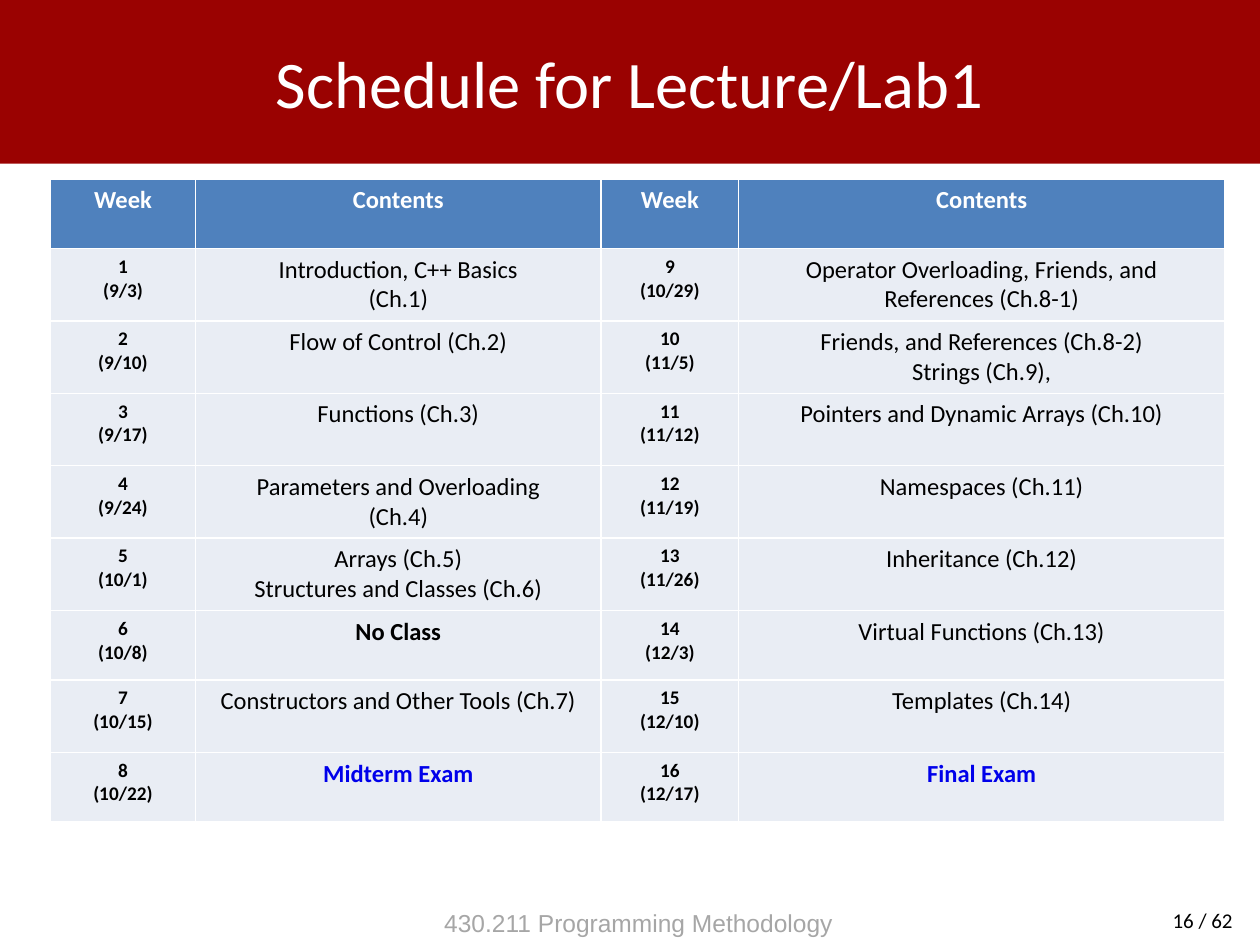
import pptx
import pptx.util
import pptx.dml.color
import pptx.enum.shapes
import pptx.enum.text

Cm = pptx.util.Cm
ALIGN = pptx.enum.text.PP_ALIGN
ANCHOR = pptx.enum.text.MSO_ANCHOR

HEADER = ["Week", "Contents"] * 2
COLUMN_WIDTHS = [2.92, 8.18, 2.77, 9.8]
HEADER_HEIGHT, ROW_HEIGHT = 1.4, 1.46
SHORT_WEEKS = (6, 8)
BLACK, WHITE, EXAM_BLUE = "000000", "FFFFFF", "0000EA"

# Date and contents of weeks 1 to 16
WEEKS = [
    ("9/3", "Introduction, C++ Basics\n(Ch.1)"),
    ("9/10", "Flow of Control (Ch.2)"),
    ("9/17", "Functions (Ch.3)"),
    ("9/24", "Parameters and Overloading\n(Ch.4)"),
    ("10/1", "Arrays (Ch.5)\nStructures and Classes (Ch.6)"),
    ("10/8", "No Class"),
    ("10/15", "Constructors and Other Tools (Ch.7)"),
    ("10/22", "Midterm Exam"),
    ("10/29", "Operator Overloading, Friends, and References (Ch.8-1)"),
    ("11/5", "Friends, and References (Ch.8-2)\nStrings (Ch.9),"),
    ("11/12", "Pointers and Dynamic Arrays (Ch.10)"),
    ("11/19", "Namespaces (Ch.11)"),
    ("11/26", "Inheritance (Ch.12)"),
    ("12/3", "Virtual Functions (Ch.13)"),
    ("12/10", "Templates (Ch.14)"),
    ("12/17", "Final Exam"),
]


def rgb(value):
    return pptx.dml.color.RGBColor.from_string(value)


def write(frame, text, size, color, bold=False, align=ALIGN.CENTER, font="Calibri"):
    frame.text = text
    for paragraph in frame.paragraphs:
        paragraph.alignment = align
        paragraph.font.name = font
        paragraph.font.size = pptx.util.Pt(size)
        paragraph.font.bold = bold
        paragraph.font.color.rgb = rgb(color)


def add_title(slide, text):
    banner = slide.shapes.add_shape(
        pptx.enum.shapes.MSO_SHAPE.RECTANGLE, 0, 0, Cm(25.4), Cm(3.3))
    banner.shadow.inherit = False
    banner.fill.solid()
    banner.fill.fore_color.rgb = rgb("9A0201")
    banner.line.fill.background()
    banner.text_frame.vertical_anchor = ANCHOR.MIDDLE
    write(banner.text_frame, text, 38, WHITE)


def add_label(slide, text, left, top, width, height, anchor=ANCHOR.TOP, **style):
    frame = slide.shapes.add_textbox(Cm(left), Cm(top), Cm(width), Cm(height)).text_frame
    frame.word_wrap = True
    frame.vertical_anchor = anchor
    write(frame, text, **style)


def fill_cell(cell, text, size, color, bold, fill="E9EDF4"):
    cell.fill.solid()
    cell.fill.fore_color.rgb = rgb(fill)
    write(cell.text_frame, text, size, color, bold)


def add_schedule(slide):
    """Two halves of the term side by side, each with a week and a contents column."""
    half = len(WEEKS) // 2
    heights = [HEADER_HEIGHT] + [
        HEADER_HEIGHT if week in SHORT_WEEKS else ROW_HEIGHT
        for week in range(1, half + 1)]
    schedule = slide.shapes.add_table(
        len(heights), len(HEADER), Cm(1.02), Cm(3.61),
        Cm(sum(COLUMN_WIDTHS)), Cm(sum(heights))).table
    schedule.horz_banding = False
    for column, width in zip(schedule.columns, COLUMN_WIDTHS):
        column.width = Cm(width)
    for row, height in zip(schedule.rows, heights):
        row.height = Cm(height)

    for column, heading in enumerate(HEADER):
        fill_cell(schedule.cell(0, column), heading, 14, WHITE, True, "4F81BD")
    for index, (date, contents) in enumerate(WEEKS):
        row, column = index % half + 1, index // half * 2
        exam = contents.endswith("Exam")
        fill_cell(schedule.cell(row, column), f"{index + 1}\n({date})", 11, BLACK, True)
        fill_cell(schedule.cell(row, column + 1), contents, 14,
                  EXAM_BLUE if exam else BLACK, exam or contents == "No Class")


def main():
    presentation = pptx.Presentation()
    presentation.slide_width, presentation.slide_height = Cm(25.4), Cm(19.05)
    slide = presentation.slides.add_slide(presentation.slide_layouts[6])
    add_label(slide, "430.211 Programming Methodology", 6.78, 18.19, 12.19, 0.86,
              size=14, color="A6A6A6", font="Arial")
    add_title(slide, "Schedule for Lecture/Lab1")
    add_schedule(slide)
    add_label(slide, "16 / 62", 19.38, 18.03, 5.72, 1.02, ANCHOR.MIDDLE,
              size=12, color=BLACK, align=ALIGN.RIGHT)
    presentation.save("out.pptx")


if __name__ == "__main__":
    main()
